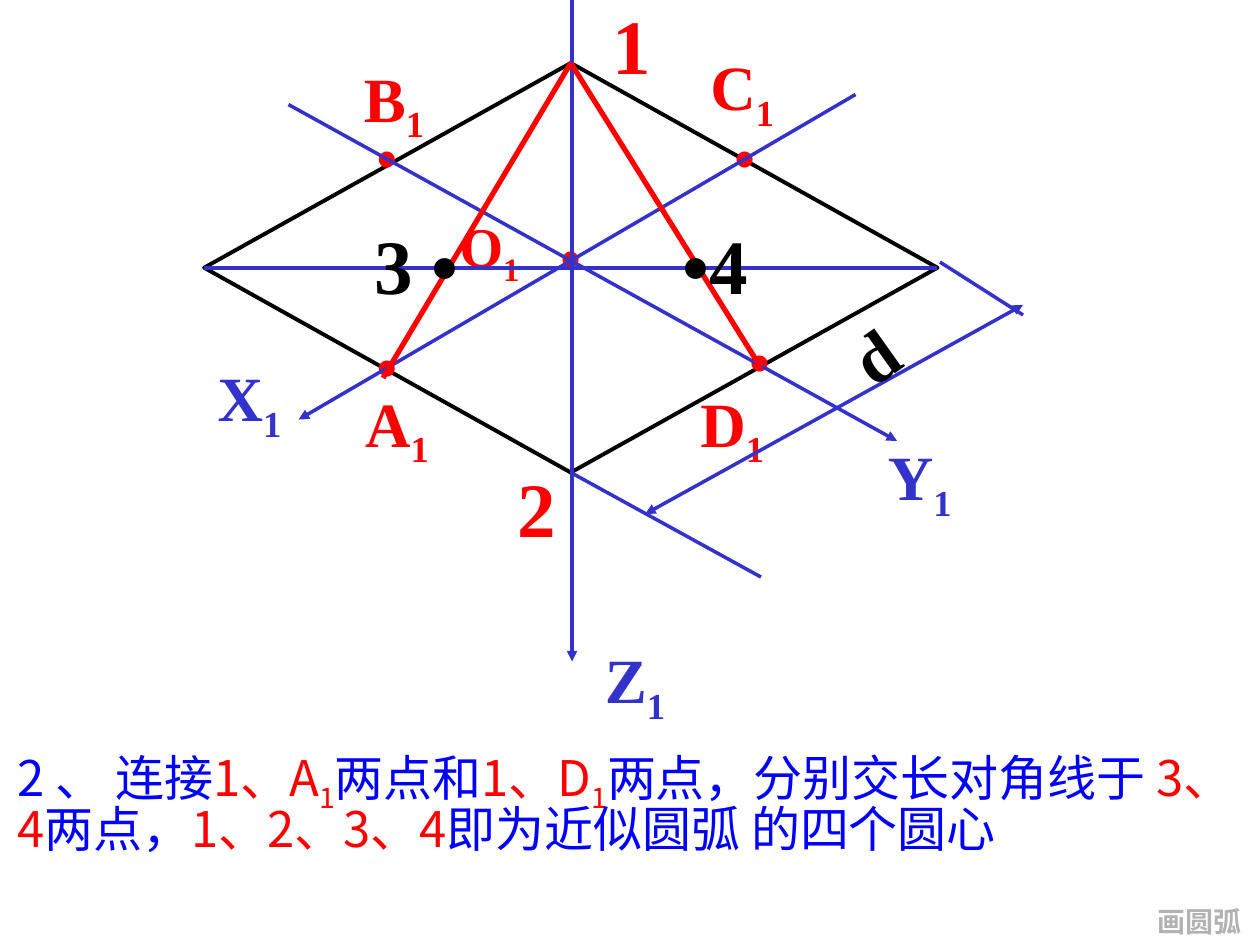
from dataclasses import dataclass
from typing import Optional

import pptx
import pptx.dml.color
import pptx.enum.shapes
import pptx.enum.text
import pptx.oxml.ns
import pptx.util
from lxml import etree

Inches = pptx.util.Inches
Pt = pptx.util.Pt
ALIGN = pptx.enum.text.PP_ALIGN
ANCHOR = pptx.enum.text.MSO_ANCHOR
qn = pptx.oxml.ns.qn


@dataclass(frozen=True)
class Theme:
    red: str = "FF0000"
    blue: str = "0000FF"
    axis: str = "3333CC"
    black: str = "000000"
    grey: str = "B2B2B2"
    serif: str = "Times New Roman"
    sans: str = "Arial"
    cjk: str = "Noto Sans CJK SC"
    body: int = 28
    dot: int = 32
    point: int = 36
    dimension: int = 40
    number: int = 44
    footer: int = 16


T = Theme()


@dataclass(frozen=True)
class Label:
    text: str
    left: float
    top: float
    width: float
    height: float
    size: int = T.point
    color: str = T.red
    sub: str = ""
    font: str = T.serif
    rotation: float = 0
    align: ALIGN = ALIGN.CENTER
    anchor: ANCHOR = ANCHOR.MIDDLE


@dataclass(frozen=True)
class Line:
    start: tuple[float, float]
    end: tuple[float, float]
    color: str = T.axis
    weight: float = 2
    head: bool = False
    tail: bool = False
    start_site: Optional[int] = None  # connection sites on the rhombus
    end_site: Optional[int] = None


def rgb(color: str) -> pptx.dml.color.RGBColor:
    return pptx.dml.color.RGBColor.from_string(color)


def add_run(p, text: str, font: str, size: int, color: str,
            bold: bool = False, sub: bool = False) -> None:
    r = p.add_run()
    r.text = text
    r.font.name = font
    r.font.size = Pt(size)
    r.font.bold = bold
    r.font.color.rgb = rgb(color)
    if sub:
        r.font._element.set("baseline", "-25000")
    if font == T.cjk:
        etree.SubElement(r.font._element, qn("a:ea")).set("typeface", font)


def add_label(slide, label: Label) -> None:
    sp = slide.shapes.add_textbox(Inches(label.left), Inches(label.top),
                                  Inches(label.width), Inches(label.height))
    sp.rotation = label.rotation
    tf = sp.text_frame
    tf.word_wrap = False
    tf.auto_size = pptx.enum.text.MSO_AUTO_SIZE.SHAPE_TO_FIT_TEXT
    tf.vertical_anchor = label.anchor
    p = tf.paragraphs[0]
    p.alignment = label.align
    add_run(p, label.text, label.font, label.size, label.color, bold=True)
    if label.sub:
        add_run(p, label.sub, label.font, label.size, label.color, bold=True, sub=True)


def add_line(slide, line: Line, rhombus) -> None:
    ends = [Inches(v) for v in (*line.start, *line.end)]
    cxn = slide.shapes.add_connector(pptx.enum.shapes.MSO_CONNECTOR.STRAIGHT, *ends)
    if line.start_site is not None:
        cxn.begin_connect(rhombus, line.start_site)
    if line.end_site is not None:
        cxn.end_connect(rhombus, line.end_site)
    cxn.line.color.rgb = rgb(line.color)
    cxn.line.width = Pt(line.weight)
    ln = cxn.line._get_or_add_ln()
    for tag, wanted in (("a:headEnd", line.head), ("a:tailEnd", line.tail)):
        if wanted:
            etree.SubElement(ln, qn(tag)).set("type", "triangle")
    etree.SubElement(cxn._element.spPr, qn("a:effectLst"))


def add_rhombus(slide):
    sp = slide.shapes.add_shape(pptx.enum.shapes.MSO_SHAPE.DIAMOND,
                                Inches(1.62), Inches(0.5), Inches(5.82), Inches(3.25))
    sp.shadow.inherit = False
    sp.fill.background()
    sp.line.color.rgb = rgb(T.black)
    sp.line.width = Pt(2.25)
    return sp


def add_explanation(slide, parts: list[tuple[str, str, bool]]) -> None:
    sp = slide.shapes.add_textbox(Inches(0.04), Inches(5.91), Inches(10), Inches(1.35))
    tf = sp.text_frame
    tf.word_wrap = True
    p = tf.paragraphs[0]
    p.line_spacing = 0.85
    for text, color, sub in parts:
        add_run(p, text, T.cjk, T.body, color, sub=sub)


EXPLANATION = [
    ("2 、 连接", T.blue, False),
    ("1、A", T.red, False), ("1", T.red, True),
    ("两点和", T.blue, False),
    ("1、D", T.red, False), ("1", T.red, True),
    ("两点，分别交长对角线于 ", T.blue, False),
    ("3、4", T.red, False),
    ("两点，", T.blue, False),
    ("1、2、3、4", T.red, False),
    ("即为近似圆弧 的四个圆心", T.blue, False),
]

# Midpoints of the sides and the centre O1
DOTS = [Label("•", x, y, 0.38, 0.64, T.dot, font=T.sans)
        for x, y in ((2.88, 2.58), (5.84, 2.54), (2.88, 0.92), (5.72, 0.92), (4.34, 1.71))]

POINT_NAMES = [Label(name, x, y, 0.75, 0.79, sub="1", align=ALIGN.LEFT, anchor=ANCHOR.TOP)
               for name, x, y in (("A", 2.8, 3), ("D", 5.46, 3),
                                  ("B", 2.79, 0.42), ("C", 5.54, 0.33))]
POINT_NAMES.append(Label("O", 3.53, 1.63, 0.71, 0.71, T.dot, sub="1"))

AXIS_NAMES = [Label(name, x, y, 0.76, 0.79, color=T.axis, sub="1")
              for name, x, y in (("Y", 6.92, 3.42), ("X", 1.6, 2.79), ("Z", 4.66, 5.03))]

DIMENSION = [
    Line((7.46, 2.08), (8.12, 2.5)),
    Line((4.54, 3.75), (6.04, 4.58), start_site=2),
    Line((8.12, 2.42), (5.12, 4.08), head=True, tail=True),
]
DIMENSION_NAME = Label("d", 6.68, 2.43, 0.51, 0.77, T.dimension, T.black, rotation=324.7)

AXES = [
    Line((4.54, 0), (4.54, 5.25), tail=True),
    Line((2.37, 3.33), (6.79, 0.75), head=True),
    Line((7.12, 3.5), (2.29, 0.83), head=True),
    Line((1.62, 2.12), (7.44, 2.12), weight=2.25, start_site=1, end_site=3),
]

RADII = [Line((4.54, 0.5), end, T.red, 3, start_site=0)
         for end in ((3.04, 3), (6.04, 2.92))]

CENTRES = [Label(text, x, y, w, 0.84, T.number, color)
           for text, x, y, w, color in (("1", 4.76, -0.07, 0.5, T.red),
                                        ("2", 4.01, 3.6, 0.5, T.red),
                                        ("3 •", 2.87, 1.67, 0.87, T.black),
                                        ("•4", 5.32, 1.67, 0.72, T.black))]

FOOTER = Label("画圆弧", 9.06, 7.13, 0.92, 0.37, T.footer, T.grey, anchor=ANCHOR.TOP)


def main() -> None:
    prs = pptx.Presentation()
    prs.slide_width, prs.slide_height = Inches(10), Inches(7.5)
    slide = prs.slides.add_slide(prs.slide_layouts[6])

    add_explanation(slide, EXPLANATION)

    # Construction drawing, from back to front
    rhombus = add_rhombus(slide)
    for label in DOTS + POINT_NAMES:
        add_label(slide, label)
    for line in DIMENSION + AXES + RADII:
        add_line(slide, line, rhombus)
    for label in [DIMENSION_NAME] + AXIS_NAMES + CENTRES + [FOOTER]:
        add_label(slide, label)

    prs.save("out.pptx")


if __name__ == "__main__":
    main()
